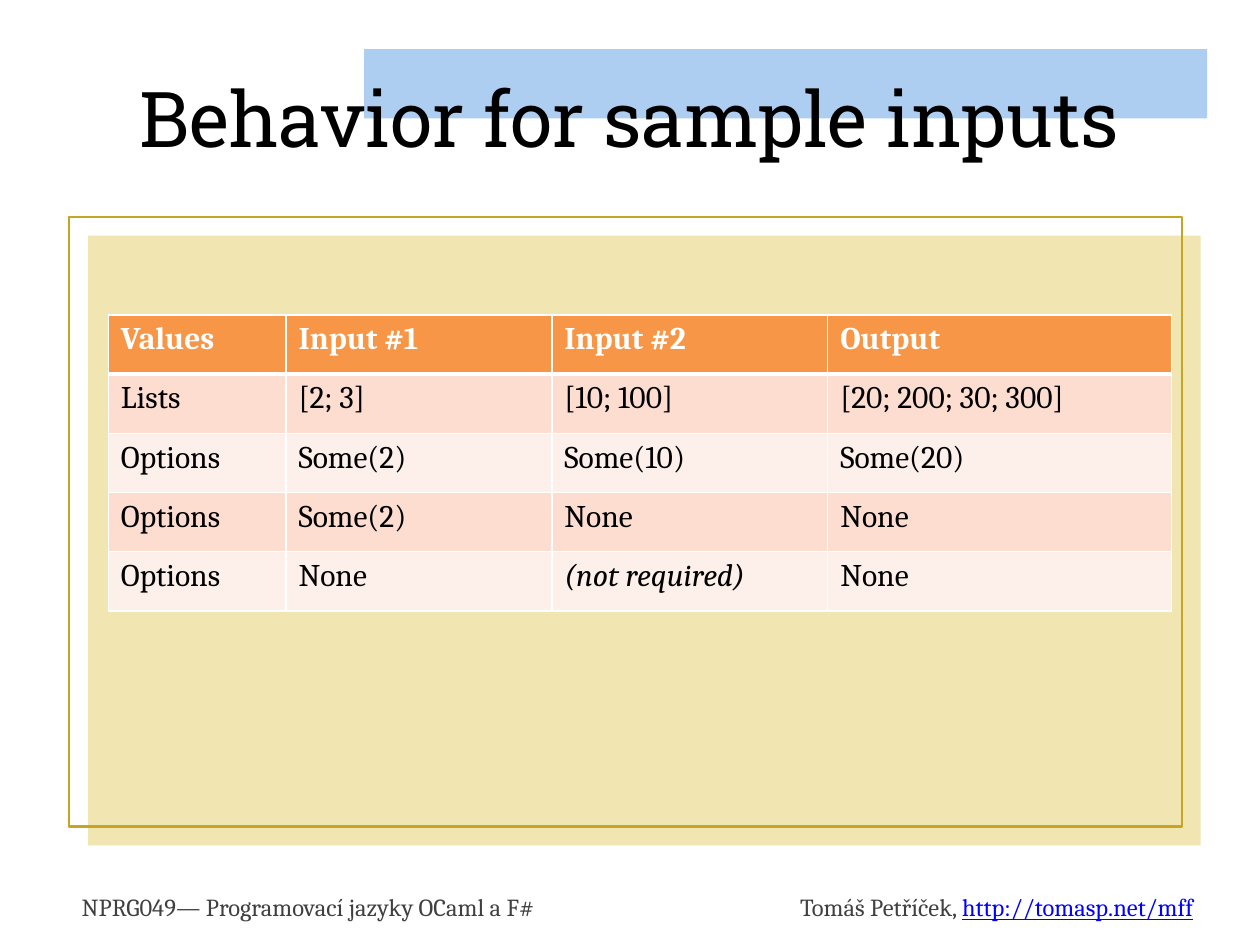
from dataclasses import dataclass
from typing import Optional

from lxml.etree import SubElement
from pptx import Presentation
from pptx.dml.color import RGBColor
from pptx.enum.shapes import MSO_SHAPE
from pptx.enum.text import MSO_ANCHOR, PP_ALIGN
from pptx.oxml.ns import qn
from pptx.util import Inches, Pt

COLORS = {
    "sky": "ADCDF1", "sand": "F1E5B1", "gold": "C5A623", "gray": "404040",
    "link": "0000FF", "orange": "F79646", "peach": "FCDDCF",
    "pale": "FDEFE9", "white": "FFFFFF", "black": "000000",
}
BODY_FONT = "Cambria"
TITLE_FONT = "Roboto Slab"


@dataclass
class Panel:
    left: float
    top: float
    width: float
    height: float
    fill: Optional[str] = None
    line: Optional[str] = None


@dataclass
class Label:
    left: float
    top: float
    width: float
    height: float
    text: str
    size: int
    font: str
    color: str
    align: PP_ALIGN
    link: str = ""


PANELS = [
    Panel(2.89, 0.39, 6.69, 0.55, fill="sky"),
    Panel(0.7, 1.87, 8.83, 4.84, fill="sand"),
    Panel(0.55, 1.72, 8.83, 4.84, line="gold"),
]
LABELS = [
    Label(0.55, 7.03, 4.45, 0.34, "NPRG049— Programovací jazyky OCaml a F#",
          14, BODY_FONT, "gray", PP_ALIGN.LEFT),
    Label(5.12, 7.03, 4.45, 0.34, "Tomáš Petříček, ",
          14, BODY_FONT, "gray", PP_ALIGN.RIGHT, "http://tomasp.net/mff"),
    Label(0.5, 0.3, 9, 1.25, "Behavior for sample inputs",
          44, TITLE_FONT, "black", PP_ALIGN.CENTER),
]
COLUMN_WIDTHS = [1.41, 2.11, 2.19, 2.73]
ROW_HEIGHT = 0.47
ROWS = [
    ["Values", "Input #1", "Input #2", "Output"],
    ["Lists", "[2; 3]", "[10; 100]", "[20; 200; 30; 300]"],
    ["Options", "Some(2)", "Some(10)", "Some(20)"],
    ["Options", "Some(2)", "None", "None"],
    ["Options", "None", "(not required)", "None"],
]


def rgb(name: str) -> RGBColor:
    return RGBColor.from_string(COLORS[name])


def draw_panel(slide, panel: Panel) -> None:
    shape = slide.shapes.add_shape(
        MSO_SHAPE.RECTANGLE, Inches(panel.left), Inches(panel.top),
        Inches(panel.width), Inches(panel.height))
    shape.shadow.inherit = False
    if panel.fill:
        shape.fill.solid()
        shape.fill.fore_color.rgb = rgb(panel.fill)
    else:
        shape.fill.background()
    if panel.line:
        shape.line.color.rgb = rgb(panel.line)
        shape.line.width = Pt(1.25)
    else:
        shape.line.fill.background()


def draw_label(slide, label: Label) -> None:
    shape = slide.shapes.add_textbox(
        Inches(label.left), Inches(label.top),
        Inches(label.width), Inches(label.height))
    frame = shape.text_frame
    frame.word_wrap = True
    frame.vertical_anchor = MSO_ANCHOR.MIDDLE
    paragraph = frame.paragraphs[0]
    paragraph.alignment = label.align
    paragraph.font.size = Pt(label.size)
    paragraph.font.name = label.font
    paragraph.font.color.rgb = rgb(label.color)
    paragraph.add_run().text = label.text
    if label.link:
        run = paragraph.add_run()
        run.text = label.link
        run.font.underline = True
        run.font.color.rgb = rgb("link")


def add_borders(cell, top: float, bottom: float) -> None:
    properties = cell._tc.get_or_add_tcPr()
    for side, width in {"L": 1, "R": 1, "T": top, "B": bottom}.items():
        line = SubElement(properties, qn(f"a:ln{side}"), w=str(Pt(width)))
        fill = SubElement(line, qn("a:solidFill"))
        SubElement(fill, qn("a:srgbClr"), val=COLORS["white"])


def draw_table(slide, left: float, top: float) -> None:
    table = slide.shapes.add_table(
        len(ROWS), len(COLUMN_WIDTHS), Inches(left), Inches(top),
        Inches(sum(COLUMN_WIDTHS)), Inches(ROW_HEIGHT * len(ROWS))).table
    for column, width in zip(table.columns, COLUMN_WIDTHS):
        column.width = Inches(width)
    for row_index, texts in enumerate(ROWS):
        header = row_index == 0
        fill = "orange" if header else ("pale", "peach")[row_index % 2]
        table.rows[row_index].height = Inches(ROW_HEIGHT)
        for column_index, text in enumerate(texts):
            cell = table.cell(row_index, column_index)
            add_borders(cell, 3 if row_index == 1 else 1, 3 if header else 1)
            cell.fill.solid()
            cell.fill.fore_color.rgb = rgb(fill)
            cell.text = text
            font = cell.text_frame.paragraphs[0].font
            font.name = BODY_FONT
            font.size = Pt(18)
            font.bold = header
            font.italic = text.startswith("(")
            font.color.rgb = rgb("white" if header else "black")


presentation = Presentation()
presentation.slide_width = Inches(10)
presentation.slide_height = Inches(7.5)
slide = presentation.slides.add_slide(presentation.slide_layouts[6])
for panel in PANELS:
    draw_panel(slide, panel)
draw_table(slide, 0.86, 2.5)
for label in LABELS:
    draw_label(slide, label)
presentation.save("out.pptx")
